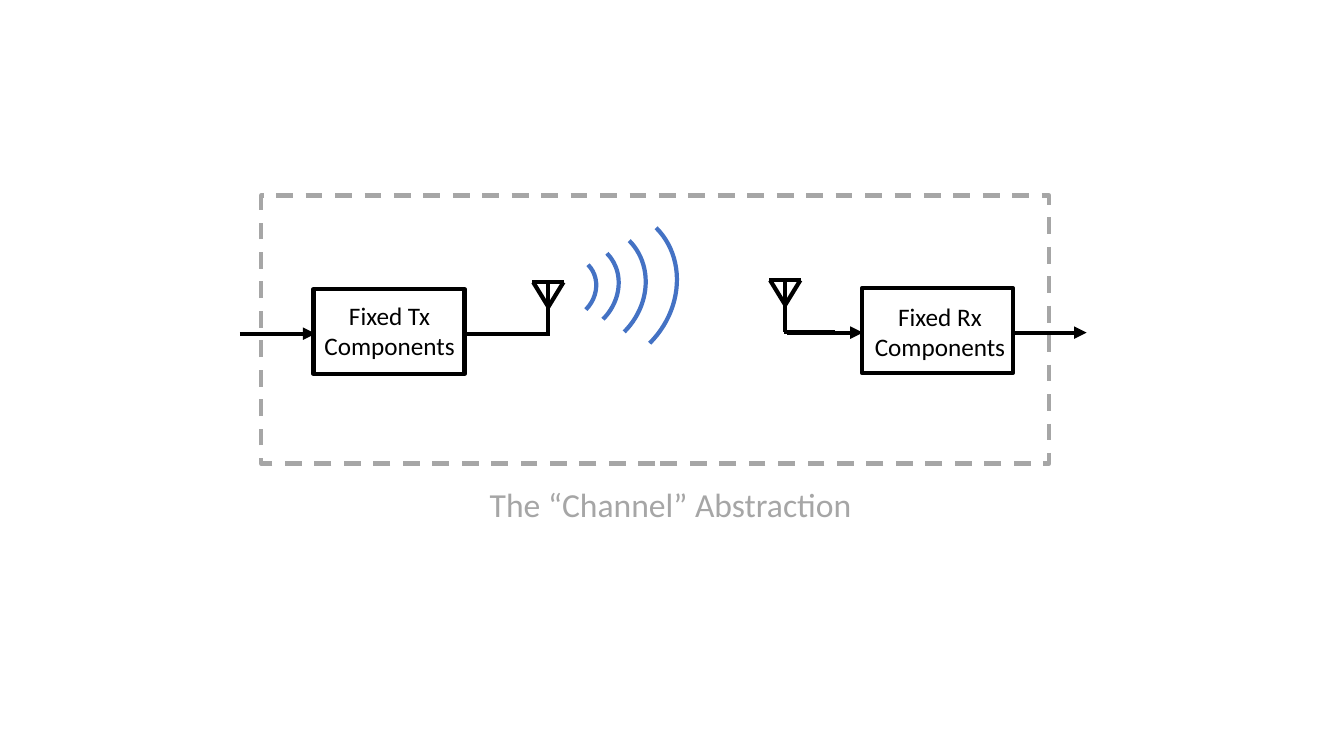
from typing import NamedTuple

from pptx import Presentation, util as u
from pptx.dml.color import RGBColor
from pptx.enum import dml, shapes as kinds, text
from pptx.oxml import parse_xml
from pptx.oxml.ns import nsdecls

# The grid: square cells, 133.3 columns by 75 rows.
CELL = u.Inches(0.1)
COLUMNS, ROWS = 133.33, 75
BLACK, GREY, BLUE = "000000", "A6A6A6", "4472C4"
LINE_WIDTH = u.Pt(3)


class Box(NamedTuple):
    column: float
    row: float
    columns: float
    rows: float


class Wire(NamedTuple):
    start_column: float
    start_row: float
    end_column: float
    end_row: float
    arrow: bool = False


class Label(NamedTuple):
    box: Box
    words: str
    size: int
    color: str
    alignment: text.PP_ALIGN


class Antenna(NamedTuple):
    mast: float
    top: float
    feed_start: float


CHANNEL = Box(25.9, 19.4, 78.2, 26.6)
COMPONENTS = [Box(31.1, 28.7, 15, 8.4), Box(85.5, 28.6, 15, 8.4)]
WAVES = [
    Box(53, 25.3, 6, 6.6),
    Box(52.4, 23.7, 8.7, 9.8),
    Box(51.6, 21.9, 12.1, 13.5),
    Box(51.4, 20.1, 15.3, 17.1),
]
WIRES = [
    Wire(46, 33.1, 53.5, 33.1),
    Wire(23.8, 33.1, 31.3, 33.1, arrow=True),
    Wire(100.3, 33, 107.8, 33, arrow=True),
    Wire(78.1, 33, 85.6, 33, arrow=True),
]
ANTENNAS = [Antenna(54.4, 28, 49.6), Antenna(77.9, 27.8, 77.8)]
LABELS = [
    Label(Box(31.1, 29.3, 15.1, 7.1), "Fixed Tx\nComponents", 18, BLACK, text.PP_ALIGN.CENTER),
    # A vertical tab is a line break inside one paragraph.
    Label(Box(85.7, 29.4, 15.1, 7.1), "Fixed Rx\vComponents", 18, BLACK, text.PP_ALIGN.CENTER),
    Label(Box(47.6, 47.5, 38.3, 5), "The “Channel” Abstraction", 24, GREY, text.PP_ALIGN.LEFT),
]


def cells(*counts: float) -> list[int]:
    return [round(count * CELL) for count in counts]


def rgb(color: str) -> RGBColor:
    return RGBColor.from_string(color)


def draw_outline(shapes, kind: kinds.MSO_SHAPE, box: Box, color: str):
    """Draw an unfilled preset shape."""
    shape = shapes.add_shape(kind, *cells(*box))
    shape.shadow.inherit = False
    shape.fill.background()
    shape.line.color.rgb = rgb(color)
    shape.line.width = LINE_WIDTH
    return shape


def draw_wire(shapes, wire: Wire) -> None:
    connector = shapes.add_connector(kinds.MSO_CONNECTOR.STRAIGHT, *cells(*wire[:4]))
    connector.line.color.rgb = rgb(BLACK)
    connector.line.width = LINE_WIDTH
    if wire.arrow:
        line = connector.line._get_or_add_ln()
        line.append(parse_xml(f'<a:tailEnd {nsdecls("a")} type="triangle"/>'))
    connector._element.spPr.append(parse_xml(f'<a:effectLst {nsdecls("a")}/>'))


def draw_antenna(shapes, antenna: Antenna) -> None:
    """Draw feed, mast, two slanted arms and the top bar as one group."""
    group = shapes.add_group_shape()
    mast, top, feed = antenna
    bottom, joint = top + 5.1, top + 2.45
    for wire in (
        Wire(feed, bottom, feed + 5, bottom),
        Wire(mast, top, mast, bottom),
        Wire(mast - 1.5, top, mast, joint),
        Wire(mast + 1.5, top, mast, joint),
        Wire(mast - 1.6, top, mast + 1.6, top),
    ):
        draw_wire(group.shapes, wire)


def draw_waves(shapes, waves: list[Box]) -> None:
    group = shapes.add_group_shape()
    for wave in waves:
        draw_outline(group.shapes, kinds.MSO_SHAPE.ARC, wave, BLUE).rotation = 45


def draw_label(shapes, label: Label) -> None:
    text_frame = shapes.add_textbox(*cells(*label.box)).text_frame
    text_frame.word_wrap = False
    text_frame.auto_size = text.MSO_AUTO_SIZE.SHAPE_TO_FIT_TEXT
    text_frame.text = label.words
    for paragraph in text_frame.paragraphs:
        paragraph.alignment = label.alignment
        for run in paragraph.runs:
            run.font.name = "Calibri"
            run.font.size = u.Pt(label.size)
            run.font.color.rgb = rgb(label.color)


def main() -> None:
    presentation = Presentation()
    presentation.slide_width, presentation.slide_height = cells(COLUMNS, ROWS)
    slide = presentation.slides.add_slide(presentation.slide_layouts[6])
    shapes = slide.shapes
    for component in COMPONENTS:
        draw_outline(shapes, kinds.MSO_SHAPE.RECTANGLE, component, BLACK)
    for wire in WIRES:
        draw_wire(shapes, wire)
    for antenna in ANTENNAS:
        draw_antenna(shapes, antenna)
    draw_waves(shapes, WAVES)
    channel = draw_outline(shapes, kinds.MSO_SHAPE.RECTANGLE, CHANNEL, GREY)
    channel.line.dash_style = dml.MSO_LINE.DASH
    for label in LABELS:
        draw_label(shapes, label)
    presentation.save("out.pptx")


if __name__ == "__main__":
    main()
